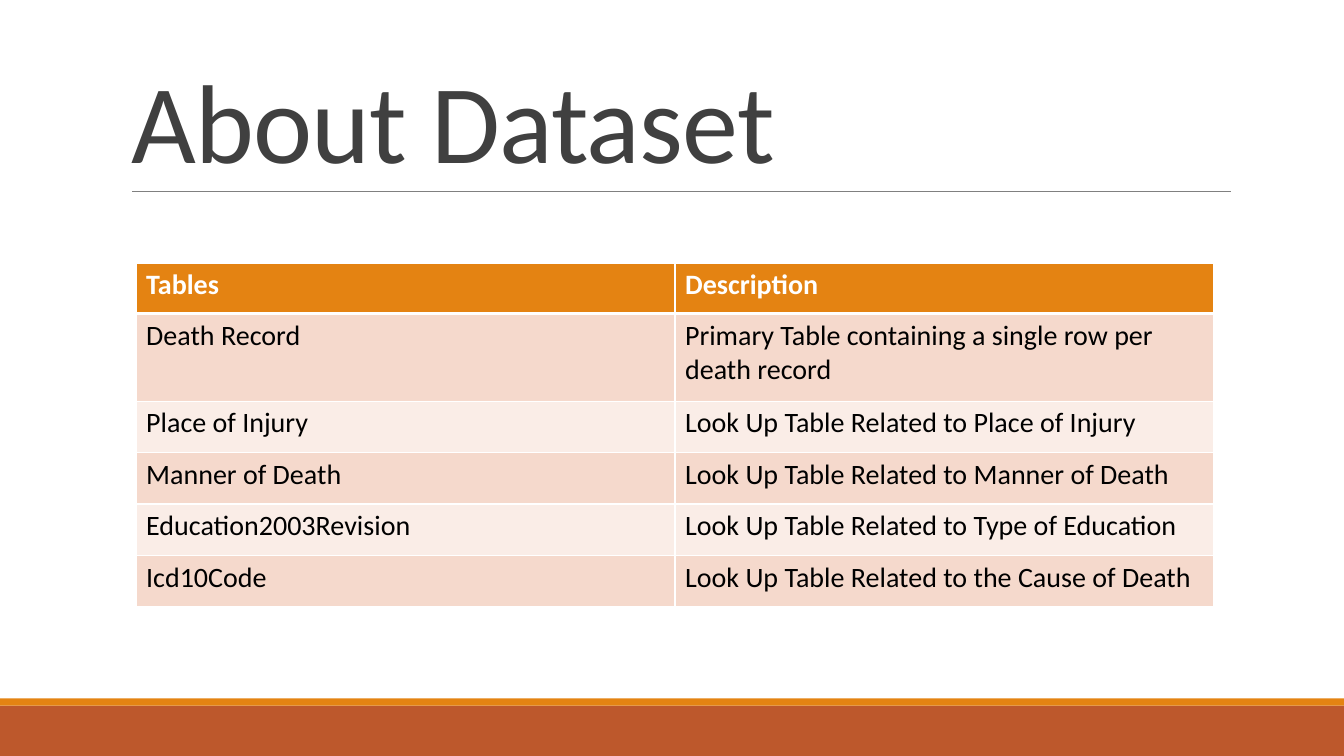
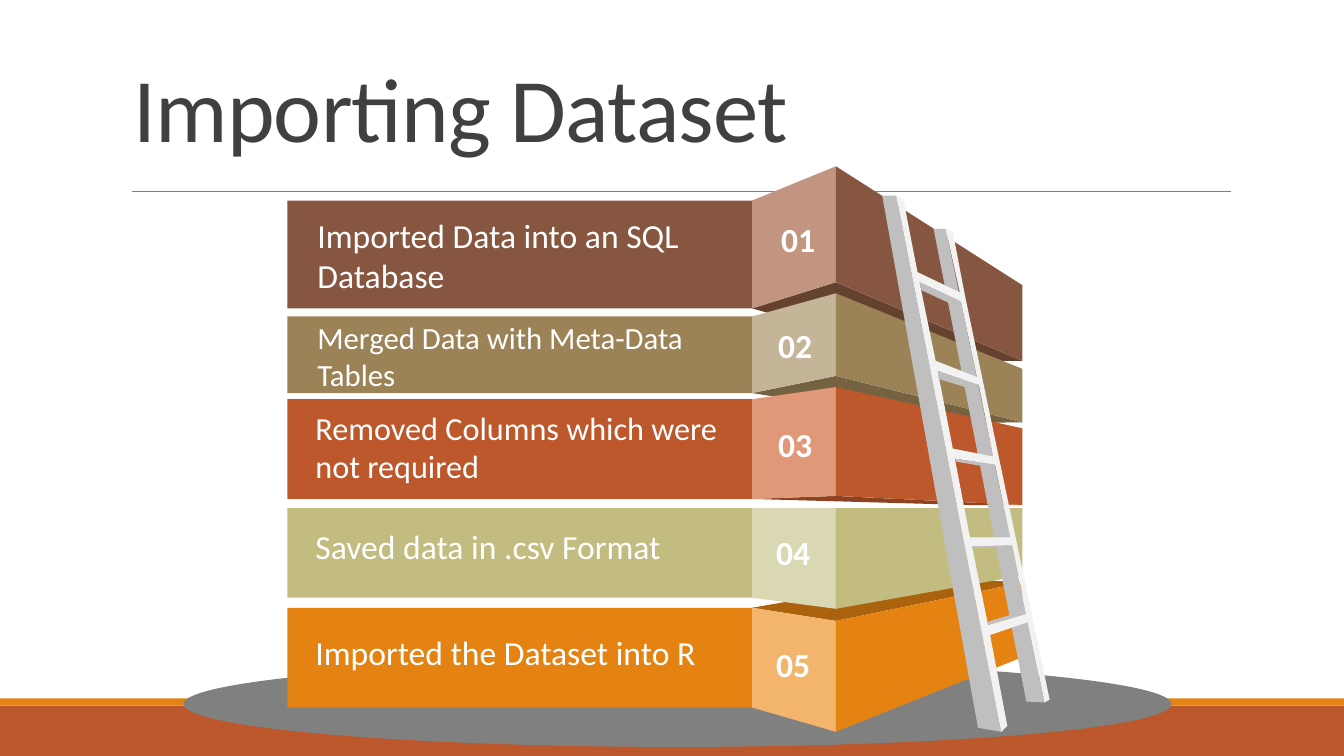
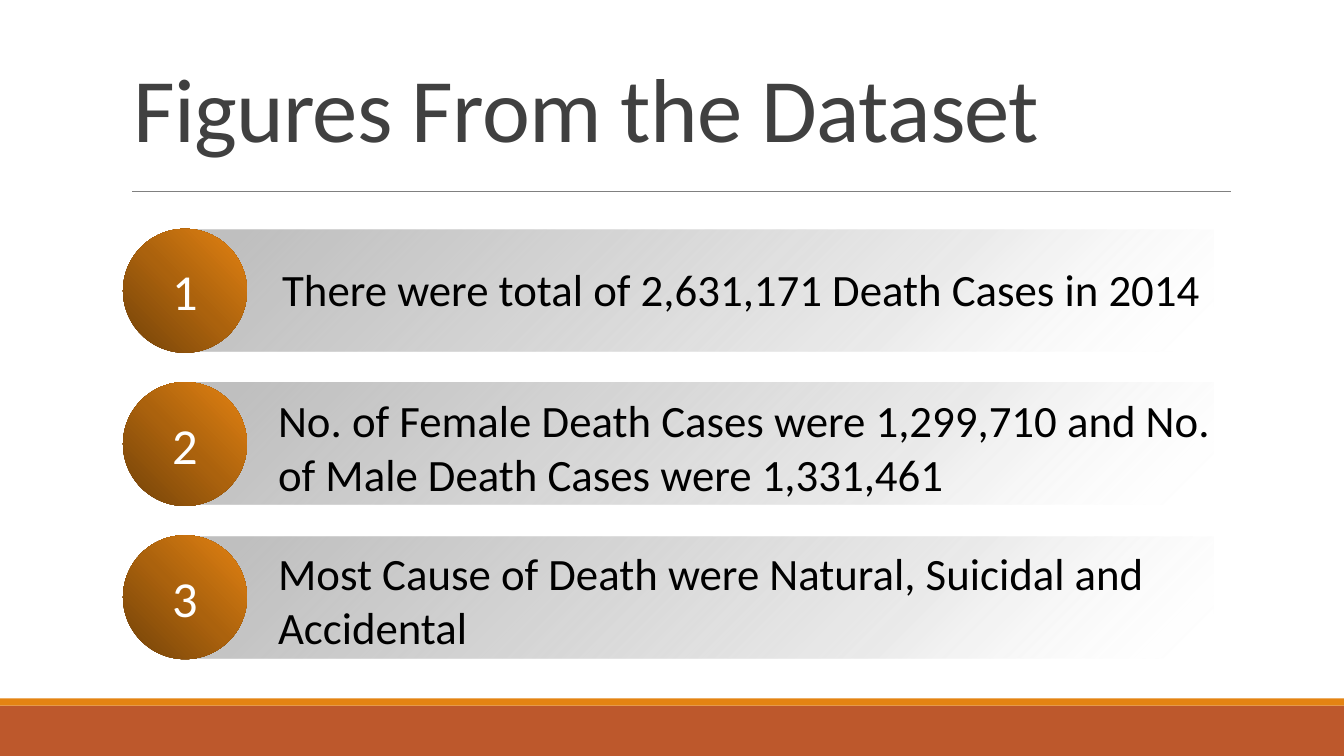
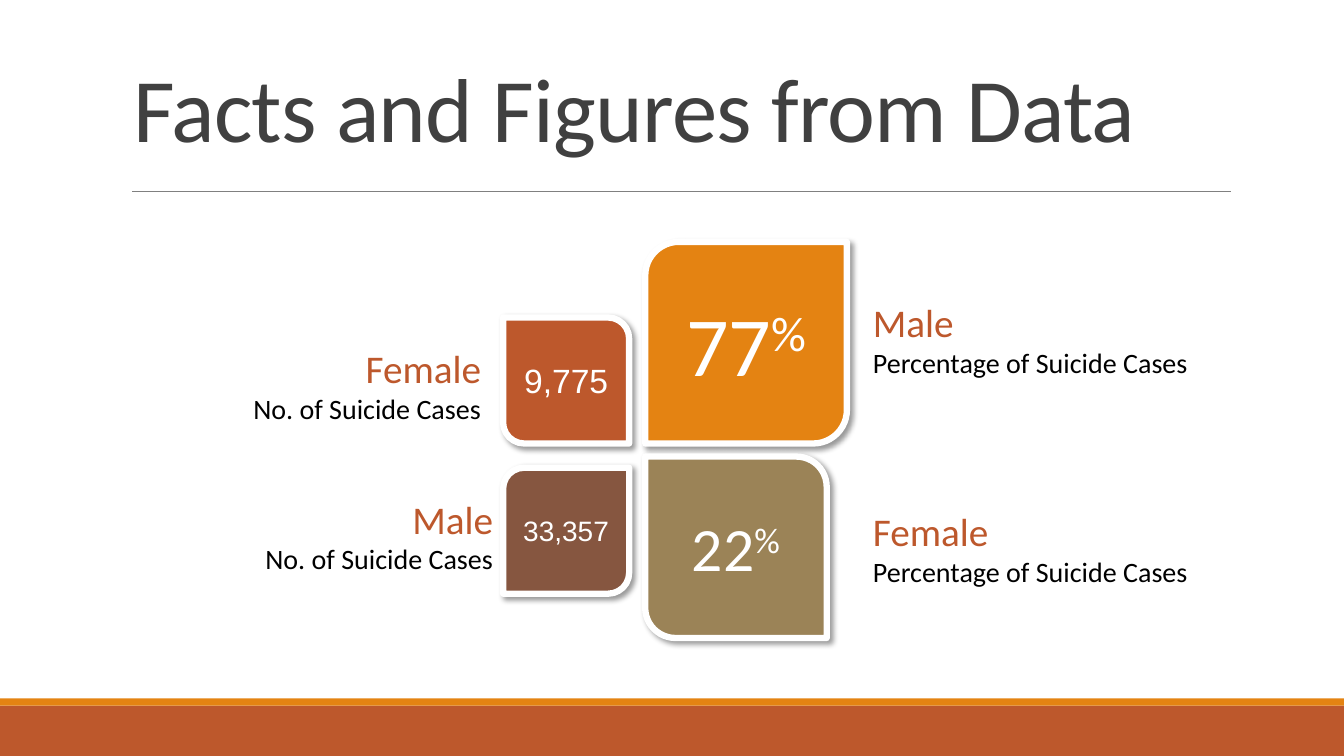
from dataclasses import dataclass

from lxml import etree
from pptx import Presentation
from pptx import util as u
from pptx.dml.color import RGBColor
from pptx.enum import shapes, text
from pptx.oxml import ns


# Theme: colours, font and type sizes
@dataclass(frozen=True)
class Theme:
    font: str = "Calibri"
    plain: str = "Arial"
    white: str = "FFFFFF"
    black: str = "000000"
    ink: str = "404040"
    grey: str = "808080"
    rail: str = "BFBFBF"
    rung: str = "F2F2F2"
    gold: str = "E48312"
    amber: str = "AB620D"
    umber: str = "724209"
    rust: str = "BD582C"
    brown: str = "865640"
    tan: str = "9B8357"
    olive: str = "C2BC80"
    odd: str = "F5D9CC"
    even: str = "FAEDE7"
    huge: float = 80
    title: float = 64.8
    badge: float = 36
    fact: float = 32
    head: float = 28
    step: float = 24
    small: float = 20


T = Theme()
KIND = shapes.MSO_SHAPE
LEFT, MID, RIGHT = (text.PP_ALIGN.LEFT, text.PP_ALIGN.CENTER,
                    text.PP_ALIGN.RIGHT)
TOP, CENTRE, BASE = (text.MSO_ANCHOR.TOP, text.MSO_ANCHOR.MIDDLE,
                     text.MSO_ANCHOR.BOTTOM)


# Basic helpers
def inch(*nums):
    return [u.Inches(n) for n in nums]


def rgb(code):
    return RGBColor.from_string(code)


def put(item, **values):
    for key, value in values.items():
        setattr(item, key, value)


def node(home, tag, **attrs):
    return etree.SubElement(home, ns.qn(tag), attrs)


def tint(home, code, alpha=100):
    mark = node(home, "a:srgbClr", val=code)
    if alpha < 100:
        node(mark, "a:alpha", val=str(alpha * 1000))


def run(words, size, ink=T.white, **more):
    """Describe one stretch of text."""
    return words, ink, {"size": u.Pt(size), "name": T.font, **more}


def write(frame, *lines, align=LEFT, anchor=TOP):
    """Fill a text frame; each line is a list of runs."""
    put(frame, word_wrap=True, vertical_anchor=anchor,
        auto_size=text.MSO_AUTO_SIZE.NONE)
    for i, line in enumerate(lines):
        para = frame.add_paragraph() if i else frame.paragraphs[0]
        para.alignment = align
        for words, ink, style in line:
            part = para.add_run()
            part.text = words
            put(part.font, **style)
            part.font.color.rgb = rgb(ink)


def paint(shape, fill):
    shape.shadow.inherit = False
    if fill:
        shape.fill.solid()
        shape.fill.fore_color.rgb = rgb(fill)
    shape.line.fill.background()
    return shape


def block(slide, kind, at, fill=None):
    return paint(slide.shapes.add_shape(kind, *inch(*at)), fill)


def label(slide, at, *lines, **place):
    write(slide.shapes.add_textbox(*inch(*at)).text_frame, *lines, **place)


def outline(slide, fill, *loops):
    """Draw one filled shape from closed loops of points."""
    pen = slide.shapes.build_freeform(*inch(*loops[0][0]))
    for i, loop in enumerate(loops):
        if i:
            pen.move_to(*inch(*loop[0]))
        pen.add_line_segments([inch(*spot) for spot in loop[1:]], close=True)
    return paint(pen.convert_to_shape(), fill)


def blend(shape, stops, angle):
    """Give a shape a linear gradient of (place, colour, alpha) stops."""
    grad = etree.Element(ns.qn("a:gradFill"), rotWithShape="1")
    row = node(grad, "a:gsLst")
    for place, code, alpha in stops:
        tint(node(row, "a:gs", pos=str(place * 1000)), code, alpha)
    node(grad, "a:lin", ang=str(angle * 60000), scaled="0")
    shape.element.find(".//" + ns.qn("a:prstGeom")).addnext(grad)


# Shared look: bands and rule live in the layout
def frame_up(deck):
    layout = deck.slide_layouts[5]
    draft = deck.slides.add_slide(layout)
    parts = [block(draft, KIND.RECTANGLE, (0, 7, 13.33, 0.5), T.rust),
             block(draft, KIND.RECTANGLE, (0, 6.93, 13.33, 0.07), T.gold)]
    rule = draft.shapes.add_connector(shapes.MSO_CONNECTOR.STRAIGHT,
                                      *inch(1.31, 1.9, 12.21, 1.9))
    rule.line.color.rgb = rgb(T.grey)
    rule.line.width = u.Pt(0.5)
    node(rule.element.spPr, "a:effectLst")
    for part in parts + [rule]:
        layout.shapes.element.append(part.element)
    return layout, draft


def head(slide, words, at=(1.22, 0.77, 11, 0.88), size=T.title):
    title = slide.shapes.title
    put(title, **dict(zip(("left", "top", "width", "height"), inch(*at))))
    write(title.text_frame, [run(words, size, T.ink)], anchor=BASE)
    title.text_frame.paragraphs[0].line_spacing = 0.85
    for props in title.element.iter(ns.qn("a:rPr")):
        props.set("spc", "-50")


# Slide 1: table
def edge(cell, **widths):
    props = cell._tc.get_or_add_tcPr()
    for side in "LRTB":
        line = node(props, "a:ln" + side, w=str(u.Pt(widths.get(side, 1))))
        tint(node(line, "a:solidFill"), T.white)


def grid(slide, rows, at, heights):
    table = slide.shapes.add_table(len(rows), 2, *inch(*at)).table
    for i, row in enumerate(rows):
        table.rows[i].height = u.Inches(heights[i])
        fill = T.gold if i == 0 else T.odd if i % 2 else T.even
        for j, words in enumerate(row):
            cell = table.cell(i, j)
            edge(cell, **({"B": 3} if i == 0 else {"T": 3} if i == 1 else {}))
            cell.fill.solid()
            cell.fill.fore_color.rgb = rgb(fill)
            ink = T.black if i else T.white
            write(cell.text_frame, [run(words, T.small, ink, bold=i == 0)])


def about(slide):
    head(slide, "About Dataset", (1.2, 0.31, 11, 1.59), T.huge)
    rows = [("Tables", "Description"),
            ("Death Record",
             "Primary Table containing a single row per death record"),
            ("Place of Injury", "Look Up Table Related to Place of Injury"),
            ("Manner of Death", "Look Up Table Related to Manner of Death"),
            ("Education2003Revision",
             "Look Up Table Related to Type of Education"),
            ("Icd10Code", "Look Up Table Related to the Cause of Death")]
    grid(slide, rows, (1.35, 2.61, 10.69, 3.4), [0.5, 0.87] + [0.51] * 4)


# Slide 2: folded stack with a ladder
NEAR, FOLD, FAR = 7.46, 8.29, 10.14


def layer(slide, fills, near, fold, far, lid=None):
    """Draw a bar with two folded sides; heights are (top, bottom) pairs."""
    main, light, dark = fills
    block(slide, KIND.RECTANGLE,
          (2.85, near[0], 4.64, near[1] - near[0]), main)
    if lid:
        tip, side = lid
        outline(slide, dark, [(FOLD, fold[side]), (FAR, far[side]), tip,
                              (NEAR, near[side])])
    for fill, (x1, left), (x2, right) in (
            (light, (NEAR, near), (FOLD, fold)),
            (main, (FOLD, fold), (FAR, far))):
        outline(slide, fill, [(x1, left[0]), (x2, right[0]),
                              (x2, right[1]), (x1, left[1])])


def ladder(slide):
    for rail in ([(8.75, 1.94), (8.89, 1.94), (9.93, 7.26), (9.7, 7.22)],
                 [(9.26, 2.27), (9.38, 2.27), (10.36, 6.97), (10.18, 6.96)]):
        outline(slide, T.rail, rail)
    gaps = [[(9.12, 2.8), (9.28, 3.58), (9.69, 3.74), (9.53, 2.99)],
            [(9.3, 3.68), (9.45, 4.45), (9.85, 4.53), (9.71, 3.82)],
            [(9.47, 4.55), (9.62, 5.33), (10.02, 5.33), (9.87, 4.61)],
            [(9.64, 5.42), (9.8, 6.2), (10.18, 6.09), (10.04, 5.41)]]
    rim = [(8.89, 1.94), (8.96, 1.98), (9.1, 2.7), (9.52, 2.9), (9.38, 2.27),
           (9.45, 2.3), (9.57, 2.93), (10.41, 6.94), (10.36, 6.97),
           (10.2, 6.17), (9.82, 6.3), (9.99, 7.2), (9.93, 7.26)]
    outline(slide, T.rung, rim, *gaps)
    for shade in ([(9.12, 2.8), (9.53, 2.99), (9.4, 3), (9.14, 2.88)],
                  [(9.3, 3.68), (9.71, 3.82), (9.57, 3.84), (9.31, 3.76)],
                  [(9.47, 4.55), (9.87, 4.61), (9.72, 4.62), (9.48, 4.58)],
                  [(10.04, 5.41), (9.89, 5.43), (9.65, 5.44), (9.64, 5.42)],
                  [(10.18, 6.09), (9.8, 6.2), (9.79, 6.17), (10.02, 6.1)]):
        outline(slide, T.rail, shade)


def stack(slide):
    head(slide, "Importing Dataset")
    block(slide, KIND.OVAL, (1.82, 6.56, 9.8, 0.85), T.grey)
    # Lower layers go first, so that each one hides the lid behind it
    for part in (
            ((T.gold, "F3B56C", T.amber), (6.03, 7.02), (6.16, 7.26),
             (5.78, 6.52), ((9.22, 5.72), 0)),
            ((T.olive, "DAD7B3", None), (5.04, 5.93), (5.04, 6.04),
             (5.04, 5.71)),
            ((T.brown, "C29580", "654130"), (1.99, 3.06), (1.65, 2.8),
             (2.83, 3.58), ((9.29, 3.58), 1)),
            ((T.tan, "C5B598", "746241"), (3.14, 3.9), (2.91, 3.73),
             (3.66, 4.19), ((9.32, 4.2), 1)),
            ((T.rust, "E09878", "8E4221"), (3.96, 4.95), (3.84, 4.92),
             (4.25, 5.01), ((9.61, 5.01), 1))):
        layer(slide, *part)
    ladder(slide)
    steps = [("Imported Data into an SQL Database", T.step,
              (3.05, 2.08, 4.22, 0.91), (7.65, 2.12)),
             ("Merged Data with Meta-Data Tables", 22,
              (3.05, 3.11, 4.22, 0.84), (7.62, 3.17)),
             ("Removed Columns which were not required", 23,
              (3.03, 4, 4.41, 0.88), (7.62, 4.16)),
             ("Saved data in .csv Format", T.step,
              (3.03, 5.17, 4.41, 0.5), (7.6, 5.23)),
             ("Imported the Dataset into R", T.step,
              (3.03, 6.22, 4.41, 0.5), (7.6, 6.34))]
    for i, (words, size, at, spot) in enumerate(steps, 1):
        label(slide, at, [run(words, size)])
        label(slide, (*spot, 0.54, 0.5), [run(f"{i:02}", T.step, bold=True)])


# Slide 3: numbered bars
def figures(slide):
    head(slide, "Figures From the Dataset")
    fade = [(5, T.rail, 100), (70, T.rail, 31), (100, T.white, 0)]
    glow = [(0, T.umber, 100), (50, T.amber, 100), (100, T.gold, 100)]
    facts = [("There were total of 2,631,171 Death Cases in 2014",
              2.7, 0.26, 9.32, 0.64),
             ("No. of Female Death Cases were 1,299,710 and No. of Male "
              "Death Cases were 1,331,461", 2.66, 0.04, 9.5, 1.18),
             ("Most Cause of Death were Natural, Suicidal and Accidental",
              2.66, 0.04, 9.5, 1.18)]
    for i, (words, left, drop, wide, tall) in enumerate(facts):
        top = 2.28 + 1.52 * i
        blend(block(slide, KIND.RECTANGLE, (1.85, top, 10.19, 1.21)), fade, 45)
        label(slide, (left, top + drop, wide, tall),
              [run(words, T.fact, T.black)], anchor=CENTRE)
        badge = block(slide, KIND.OVAL, (1.22, top - 0.01, 1.23, 1.23))
        blend(badge, glow, 315)
        write(badge.text_frame, [run(str(i + 1), T.badge)],
              align=MID, anchor=CENTRE)
        side, end = inch(0.08, 0.1)
        put(badge.text_frame, margin_left=side, margin_right=side,
            margin_top=end, margin_bottom=end)


# Slide 4: leaf cards with captions
def leaf(slide, at, fill, runs, flip):
    card = block(slide, KIND.ROUND_2_DIAG_RECTANGLE, at, fill)
    card.line.color.rgb = rgb(T.white)
    card.line.width = u.Pt(4.5)
    glow = node(card.element.spPr.find(ns.qn("a:effectLst")), "a:outerShdw",
                blurRad=str(u.Pt(4)), dist=str(u.Pt(3)),
                dir=str(45 * 60000), algn="tl", rotWithShape="0")
    tint(glow, T.black, 40)
    if flip:
        card.element.find(".//" + ns.qn("a:xfrm")).set("flipH", "1")
    write(card.text_frame, runs, align=MID, anchor=CENTRE)
    for part in card.text_frame.paragraphs[0].runs:
        if part.text == "%":
            part._r.get_or_add_rPr().set("baseline", "30000")


def shares(slide):
    head(slide, "Facts and Figures from Data")
    count, share = "No. of Suicide Cases", "Percentage of Suicide Cases"
    cards = [((4.99, 3.15), 1.25, T.rust, True,
              [run("9,775", T.step, name=T.plain)],
              "Female", count, (1.4, 3.37), RIGHT),
             ((4.99, 4.64), 1.25, T.brown, False,
              [run("33,357", T.small, name=T.plain)],
              "Male", count, (1.52, 4.86), RIGHT),
             ((6.4, 2.4), 2, T.gold, False, [run("77", 60), run("%", 60)],
              "Male", share, (8.56, 2.91), LEFT),
             ((6.4, 4.53), 1.8, T.tan, True, [run("22", 44), run("%", 44)],
              "Female", share, (8.56, 4.98), LEFT)]
    for spot, size, fill, flip, runs, who, what, tag, align in cards:
        leaf(slide, (*spot, size, size), fill, runs, flip)
        label(slide, (*tag, 3.47, 0.91), [run(who, T.head, T.rust)],
              [run(what, T.small, T.black)], align=align)


def main():
    deck = Presentation()
    deck.slide_width, deck.slide_height = inch(13.33, 7.5)
    layout, first = frame_up(deck)
    about(first)
    for build in (stack, figures, shares):
        build(deck.slides.add_slide(layout))
    deck.save("out.pptx")


if __name__ == "__main__":
    main()
